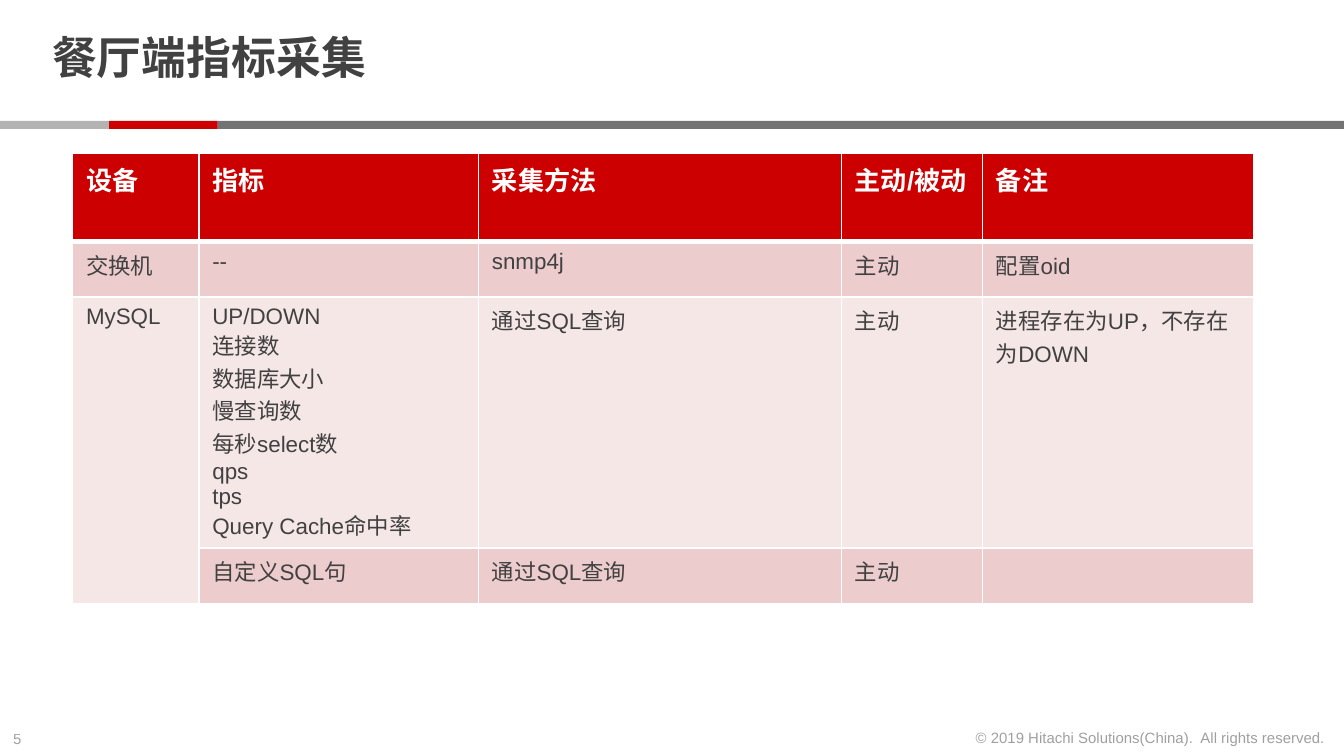
"""Build the slide that lists the metrics collected on the restaurant side."""
from dataclasses import dataclass

from lxml import etree
from pptx import Presentation
from pptx.dml.color import RGBColor
from pptx.enum.shapes import MSO_SHAPE
from pptx.enum.text import MSO_ANCHOR, MSO_AUTO_SIZE, PP_ALIGN
from pptx.oxml.ns import qn
from pptx.util import Inches, Pt

RECT = MSO_SHAPE.RECTANGLE
MIDDLE = MSO_ANCHOR.MIDDLE
FIT = MSO_AUTO_SIZE.SHAPE_TO_FIT_TEXT
LEFT, RIGHT = PP_ALIGN.LEFT, PP_ALIGN.RIGHT

FONT = "Arial"
WIDTH = 10
HEIGHT = WIDTH * 9 / 16
COLORS = {
    "text": "414141",
    "white": "FFFFFF",
    "red": "CC0000",
    "light": "B3B3B3",
    "dark": "737373",
    "band": "ECCCCC",
    "pale": "F6E7E7",
}
BAR_UNIT = 0.081
COL_WIDTHS = (0.94, 2.08, 2.7, 1.05, 2.02)
METRICS = "\n".join((
    "UP/DOWN", "连接数", "数据库大小", "慢查询数",
    "每秒select数", "qps", "tps", "Query Cache命中率",
))


@dataclass(frozen=True)
class Bar:
    start: float
    end: float
    color: str


@dataclass(frozen=True)
class Footer:
    text: str
    left: float
    top: float
    width: float
    align: PP_ALIGN


@dataclass(frozen=True)
class Row:
    texts: tuple[str, ...]
    fill: str
    height: float = 0.41
    color: str = "text"
    size: int = 12
    bold: bool = False
    bottom: int = 1


BARS = (
    Bar(2 * BAR_UNIT, 1, "dark"),
    Bar(BAR_UNIT, 2 * BAR_UNIT, "red"),
    Bar(0, BAR_UNIT, "light"),
)
FOOTERS = (
    Footer("5", 0, 5.38, 0.34, LEFT),
    Footer("© 2019 Hitachi Solutions(China).  All rights reserved.",
           7.12, 5.37, 2.84, RIGHT),
)
ROWS = (
    Row(("设备", "指标", "采集方法", "主动/被动", "备注"),
        "red", 0.66, "white", 14, True, 3),
    Row(("交换机", "--", "snmp4j", "主动", "配置oid"), "band"),
    Row(("MySQL", METRICS, "通过SQL查询", "主动",
         "进程存在为UP，不存在为DOWN"), "pale", 1.87),
    Row(("", "自定义SQL句", "通过SQL查询", "主动", ""), "band"),
)


def rgb(name: str) -> RGBColor:
    return RGBColor.from_string(COLORS[name])


def style_text(tf, size: int, color: str, bold: bool = False) -> None:
    for p in tf.paragraphs:
        p.font.size = Pt(size)
        for r in p.runs:
            r.font.name = FONT
            r.font.size = Pt(size)
            r.font.bold = bold
            r.font.color.rgb = rgb(color)


def draw_bar(slide, bar: Bar) -> None:
    sp = slide.shapes.add_shape(
        RECT, Inches(bar.start * WIDTH), Inches(0.9),
        Inches((bar.end - bar.start) * WIDTH), Inches(0.06))
    sp.shadow.inherit = False
    sp.fill.solid()
    sp.fill.fore_color.rgb = rgb(bar.color)
    sp.line.fill.background()


def draw_footer(slide, footer: Footer) -> None:
    sp = slide.shapes.add_textbox(
        Inches(footer.left), Inches(footer.top), Inches(footer.width), Inches(0.24))
    tf = sp.text_frame
    tf.text = footer.text
    tf.word_wrap = False
    tf.auto_size = FIT
    tf.paragraphs[0].alignment = footer.align
    style_text(tf, 8, "text")
    for color in sp.element.iter(qn("a:srgbClr")):
        etree.SubElement(color, qn("a:alpha"), val="50000")


def draw_title(slide, text: str) -> None:
    sp = slide.shapes.add_textbox(Inches(0.29), Inches(0.05), Inches(7.71), Inches(0.8))
    tf = sp.text_frame
    tf.text = text
    tf.word_wrap = True
    tf.vertical_anchor = MIDDLE
    tf.margin_top = tf.margin_bottom = 0
    tf.paragraphs[0].line_spacing = 0.85
    style_text(tf, 24, "text", True)


def draw_borders(cell, top: int, bottom: int) -> None:
    tc_pr = cell._tc.get_or_add_tcPr()
    for side, width in (("L", 1), ("R", 1), ("T", top), ("B", bottom)):
        ln = etree.SubElement(tc_pr, qn(f"a:ln{side}"), w=str(Pt(width)))
        fill = etree.SubElement(ln, qn("a:solidFill"))
        etree.SubElement(fill, qn("a:srgbClr"), val=COLORS["white"])


def draw_table(slide, rows: tuple[Row, ...]) -> None:
    frame = slide.shapes.add_table(
        len(rows), len(COL_WIDTHS), Inches(0.54), Inches(1.14),
        Inches(sum(COL_WIDTHS)), Inches(sum(row.height for row in rows)))
    table = frame.table
    for column, width in zip(table.columns, COL_WIDTHS):
        column.width = Inches(width)
    top = 1
    for i, row in enumerate(rows):
        table.rows[i].height = Inches(row.height)
        for j, text in enumerate(row.texts):
            cell = table.cell(i, j)
            draw_borders(cell, top, row.bottom)
            cell.fill.solid()
            cell.fill.fore_color.rgb = rgb(row.fill)
            cell.text_frame.text = text
            style_text(cell.text_frame, row.size, row.color, row.bold)
        top = row.bottom
    table.cell(2, 0).merge(table.cell(3, 0))


def main() -> None:
    prs = Presentation()
    prs.slide_width, prs.slide_height = Inches(WIDTH), Inches(HEIGHT)
    slide = prs.slides.add_slide(prs.slide_layouts[6])
    for bar in BARS:
        draw_bar(slide, bar)
    for footer in FOOTERS:
        draw_footer(slide, footer)
    draw_title(slide, "餐厅端指标采集")
    draw_table(slide, ROWS)
    prs.save("out.pptx")


if __name__ == "__main__":
    main()
